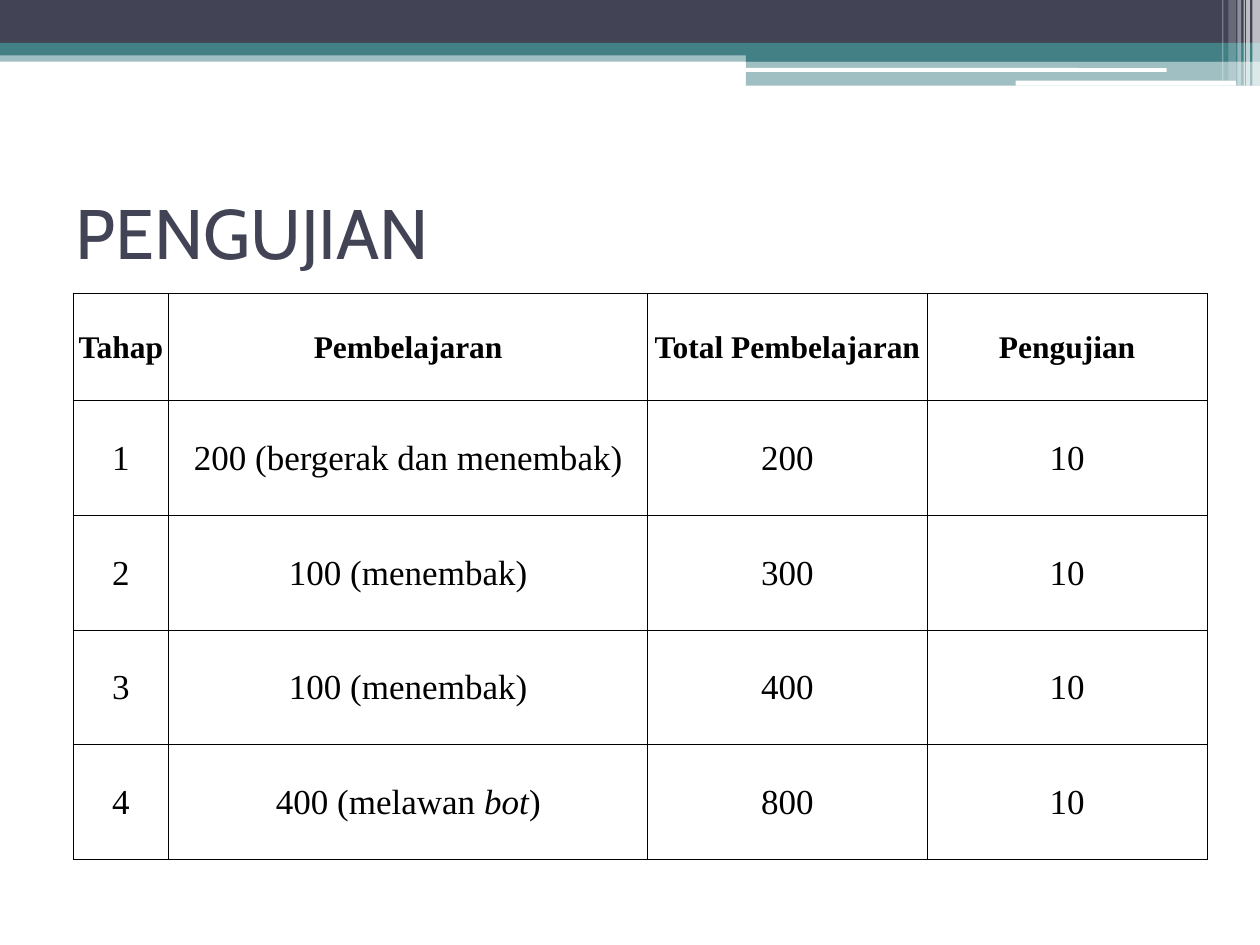
import dataclasses

import lxml.etree
import pptx
import pptx.dml.color
import pptx.enum.shapes
import pptx.enum.text
import pptx.oxml.ns
import pptx.util

Inches = pptx.util.Inches
Pt = pptx.util.Pt
ANCHOR_MIDDLE = pptx.enum.text.MSO_ANCHOR.MIDDLE


@dataclasses.dataclass(frozen=True)
class Theme:
    navy: str = "424456"
    teal: str = "438086"
    white: str = "FFFFFF"
    black: str = "000000"
    title_font: str = "Cabin"
    table_font: str = "Times New Roman"
    title_size: int = 40
    header_size: int = 18
    body_size: int = 20
    border_width: float = 0.5


# left, top, width, height, theme colour, opacity in percent
BANDS = [
    (0, 0.4, 10, 0.09, "teal", 50),
    (0, 0, 10, 0.34, "navy", 100),
    (0, 0.34, 10, 0.1, "teal", 100),
    (5.92, 0.39, 4.08, 0.1, "teal", 100),
    (5.92, 0.48, 4.08, 0.2, "teal", 50),
]
ROUNDED_BARS = [(5.91, 0.54, 3.35, 0.03), (8.06, 0.64, 1.75, 0.04)]
# left, width, height, opacity in percent
STRIPES = [
    (9.94, 0.06, 0.68, 65),
    (9.89, 0.03, 0.68, 65),
    (9.87, 0.01, 0.68, 60),
    (9.82, 0.03, 0.68, 40),
    (9.75, 0.06, 0.64, 20),
    (9.7, 0.01, 0.64, 30),
]

COLUMN_WIDTHS = [0.76, 3.8, 2.22, 2.22]
ROW_HEIGHTS = [0.85] + [0.91] * 4
# Each cell is a list of runs; a run starting with "*" is italic.
TABLE_ROWS = [
    [["Tahap"], ["Pembelajaran"], ["Total Pembelajaran"], ["Pengujian"]],
    [["1"], ["200 (bergerak dan menembak)"], ["200"], ["10"]],
    [["2"], ["100 (menembak)"], ["300"], ["10"]],
    [["3"], ["100 (menembak)"], ["400"], ["10"]],
    [["4"], ["400 (melawan ", "*bot", ")"], ["800"], ["10"]],
]


class SlideBuilder:
    def __init__(self, slide, theme):
        self.slide = slide
        self.theme = theme

    def add_span(self, para, text, font, size, color, bold=False, italic=False):
        span = para.add_run()
        span.text = text
        span.font.name = font
        span.font.size = Pt(size)
        span.font.bold = bold
        span.font.italic = italic
        span.font.color.rgb = pptx.dml.color.RGBColor.from_string(color)

    def add_bar(self, left, top, width, height, color, opacity=100, rounded=False):
        kinds = pptx.enum.shapes.MSO_SHAPE
        kind = kinds.ROUNDED_RECTANGLE if rounded else kinds.RECTANGLE
        bar = self.slide.shapes.add_shape(
            kind, Inches(left), Inches(top), Inches(width), Inches(height))
        bar.shadow.inherit = False
        bar.line.fill.background()
        bar.fill.solid()
        bar.fill.fore_color.rgb = pptx.dml.color.RGBColor.from_string(color)
        if opacity < 100:
            color_node = bar.fill._xPr.find(".//" + pptx.oxml.ns.qn("a:srgbClr"))
            lxml.etree.SubElement(
                color_node, pptx.oxml.ns.qn("a:alpha"), val=str(opacity * 1000))

    def set_title(self, text, left, top, width, height):
        title = self.slide.shapes.title
        title.left, title.top = Inches(left), Inches(top)
        title.width, title.height = Inches(width), Inches(height)
        title.text_frame.vertical_anchor = ANCHOR_MIDDLE
        para = title.text_frame.paragraphs[0]
        para.alignment = pptx.enum.text.PP_ALIGN.LEFT
        self.add_span(para, text, self.theme.title_font,
                      self.theme.title_size, self.theme.navy)

    def add_borders(self, cell):
        qn = pptx.oxml.ns.qn
        properties = cell._tc.get_or_add_tcPr()
        for side in ("lnL", "lnR", "lnT", "lnB"):
            line = lxml.etree.SubElement(
                properties, qn("a:" + side), w=str(Pt(self.theme.border_width)))
            fill = lxml.etree.SubElement(line, qn("a:solidFill"))
            lxml.etree.SubElement(fill, qn("a:srgbClr"), val=self.theme.black)

    def fill_cell(self, cell, runs, is_header):
        self.add_borders(cell)
        cell.fill.background()
        cell.vertical_anchor = ANCHOR_MIDDLE
        cell.margin_left = cell.margin_right = cell.margin_top = Inches(0.01)
        cell.margin_bottom = 0
        para = cell.text_frame.paragraphs[0]
        para.alignment = pptx.enum.text.PP_ALIGN.CENTER
        size = self.theme.header_size if is_header else self.theme.body_size
        for text in runs:
            self.add_span(para, text.removeprefix("*"), self.theme.table_font, size,
                          self.theme.black, is_header, text.startswith("*"))

    def add_table(self, left, top, widths, heights, rows):
        frame = self.slide.shapes.add_table(
            len(rows), len(widths), Inches(left), Inches(top),
            Inches(sum(widths)), Inches(sum(heights)))
        table = frame.table
        table.first_row = table.horz_banding = False
        for column, width in zip(table.columns, widths):
            column.width = Inches(width)
        for row_index, (row, height) in enumerate(zip(table.rows, heights)):
            row.height = Inches(height)
            for cell, runs in zip(row.cells, rows[row_index]):
                self.fill_cell(cell, runs, is_header=row_index == 0)


def main():
    deck = pptx.Presentation()
    deck.slide_width, deck.slide_height = Inches(10), Inches(7.5)
    theme = Theme()
    page = SlideBuilder(deck.slides.add_slide(deck.slide_layouts[5]), theme)

    for left, top, width, height, color, opacity in BANDS:
        page.add_bar(left, top, width, height, getattr(theme, color), opacity)
    for bounds in ROUNDED_BARS:
        page.add_bar(*bounds, theme.white, rounded=True)
    for left, width, height, opacity in STRIPES:
        page.add_bar(left, 0, width, height, theme.white, opacity)

    page.set_title("PENGUJIAN", 0.5, 1.25, 9, 1.17)
    page.add_table(0.58, 2.33, COLUMN_WIDTHS, ROW_HEIGHTS, TABLE_ROWS)
    deck.save("out.pptx")


if __name__ == "__main__":
    main()
